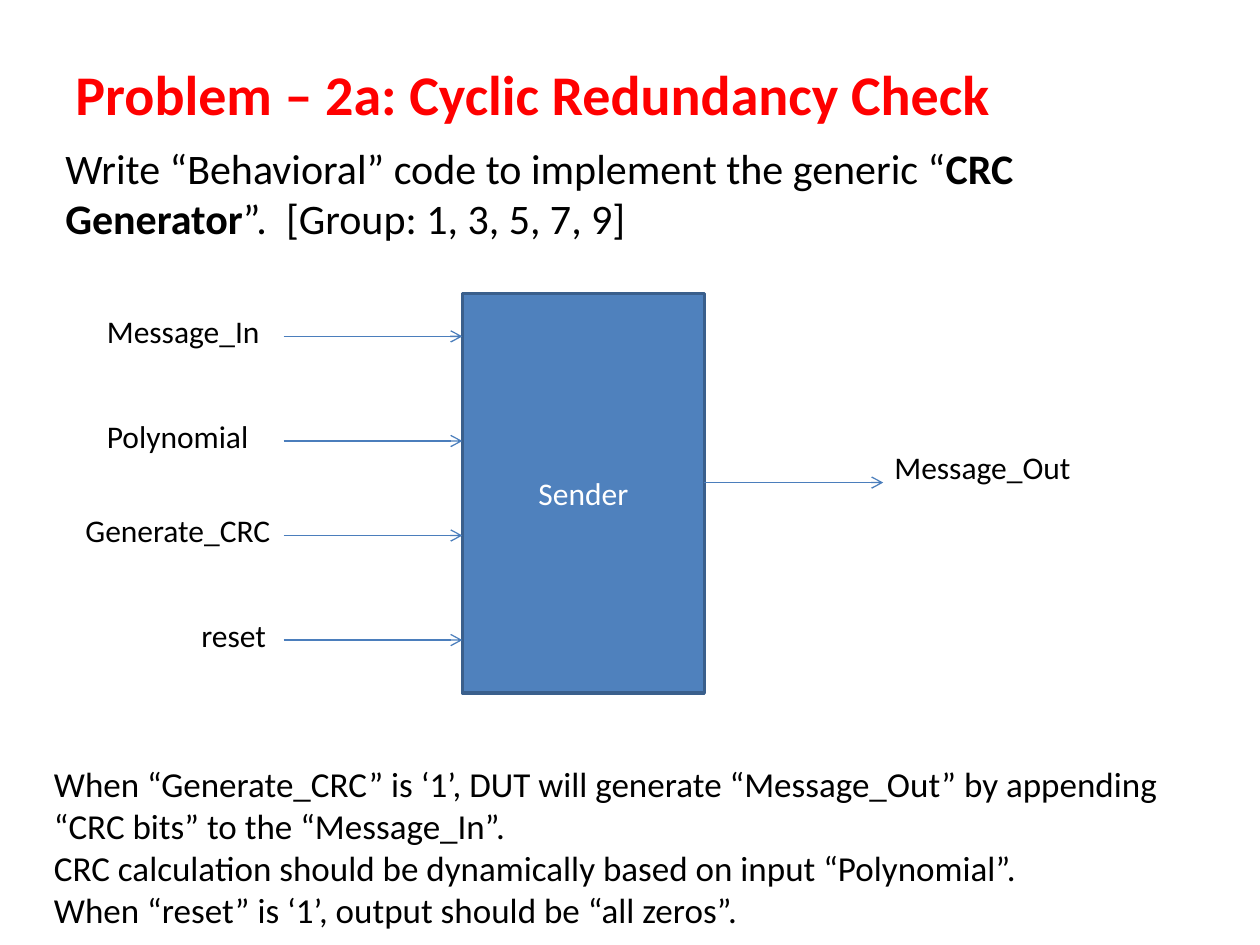
from pptx import Presentation
from pptx.dml.color import RGBColor
from pptx.enum.shapes import MSO_CONNECTOR, MSO_SHAPE
from pptx.enum.text import MSO_ANCHOR, PP_ALIGN
from pptx.oxml.ns import qn
from pptx.util import Inches, Pt
from lxml.etree import SubElement

RED = RGBColor(0xFF, 0x00, 0x00)
BLACK = RGBColor(0x00, 0x00, 0x00)
WHITE = RGBColor(0xFF, 0xFF, 0xFF)
BLOCK_BLUE = RGBColor(0x4F, 0x81, 0xBD)
BORDER_BLUE = RGBColor(0x3A, 0x5F, 0x8C)
ARROW_BLUE = RGBColor(0x4B, 0x7E, 0xBC)

# Each paragraph is a list of (text, bold) runs
TITLE = [[("Problem – 2a: Cyclic Redundancy Check", True)]]
TASK = [[("Write “Behavioral” code to implement the generic “", False),
         ("CRC Generator", True),
         ("”.  [Group: 1, 3, 5, 7, 9]", False)]]
RULES = [[(rule, False)] for rule in (
    "When “Generate_CRC” is ‘1’, DUT will generate “Message_Out” by appending "
    "“CRC bits” to the “Message_In”.",
    "CRC calculation should be dynamically based on input “Polynomial”.",
    "When “reset” is ‘1’, output should be “all zeros”.",
)]
# (paragraphs, box, format)
PASSAGES = [
    (TITLE, (0.5, 0.42, 9, 0.65), {"size": Pt(32), "color": RED}),
    (TASK, (0.42, 1.08, 8.92, 0.91), {"size": Pt(24)}),
    (RULES, (0.33, 6, 9, 1.45), {"size": Pt(20)}),
]

BLOCK_NAME = "Sender"
BLOCK = (3.67, 2.33, 1.92, 3.17)
BLOCK_RIGHT = BLOCK[0] + BLOCK[2]
ARROW_LENGTH = 1.42
INPUT_START = BLOCK[0] - ARROW_LENGTH
LABEL_RISE, LABEL_HEIGHT = 0.24, 0.4
# (signal, label left, label width, label top, arrow start, arrow height)
SIGNALS = [
    (signal, left, width, y - LABEL_RISE, INPUT_START, y)
    for signal, left, width, y in (
        ("Message_In", 0.75, 1.5, 2.67),
        ("Polynomial", 0.75, 1.5, 3.5),
        ("Generate_CRC", 0.58, 1.83, 4.25),
        ("reset", 1.5, 0.92, 5.08),
    )
] + [("Message_Out", 7, 1.83, 3.51, BLOCK_RIGHT, 3.83)]


def inches(box):
    return [Inches(length) for length in box]


def write(frame, paragraphs, size=Pt(18), color=BLACK, align=PP_ALIGN.LEFT):
    frame.word_wrap = True
    for index, runs in enumerate(paragraphs):
        paragraph = frame.paragraphs[0] if index == 0 else frame.add_paragraph()
        paragraph.alignment = align
        for text, bold in runs:
            run = paragraph.add_run()
            run.text = text
            for key, value in {"name": "Calibri", "size": size, "bold": bold}.items():
                setattr(run.font, key, value)
            run.font.color.rgb = color


def add_passage(slide, paragraphs, box, **formats):
    write(slide.shapes.add_textbox(*inches(box)).text_frame, paragraphs, **formats)


def add_block(slide):
    block = slide.shapes.add_shape(MSO_SHAPE.RECTANGLE, *inches(BLOCK))
    block.shadow.inherit = False
    block.fill.solid()
    block.fill.fore_color.rgb = BLOCK_BLUE
    block.line.color.rgb = BORDER_BLUE
    block.line.width = Pt(2)
    block.text_frame.vertical_anchor = MSO_ANCHOR.MIDDLE
    write(block.text_frame, [[(BLOCK_NAME, False)]], color=WHITE, align=PP_ALIGN.CENTER)


def add_arrow(slide, start, y):
    arrow = slide.shapes.add_connector(
        MSO_CONNECTOR.STRAIGHT, *inches((start, y, start + ARROW_LENGTH, y)))
    arrow.line.color.rgb = ARROW_BLUE
    arrow.line.width = Pt(0.75)
    SubElement(arrow.line._get_or_add_ln(), qn("a:tailEnd"), type="arrow")
    SubElement(arrow._element.spPr, qn("a:effectLst"))


def main():
    deck = Presentation()
    deck.slide_width, deck.slide_height = Inches(10), Inches(7.5)
    slide = deck.slides.add_slide(deck.slide_layouts[6])
    for paragraphs, box, formats in PASSAGES:
        add_passage(slide, paragraphs, box, **formats)
    add_block(slide)
    for signal, left, width, top, start, y in SIGNALS:
        add_arrow(slide, start, y)
        add_passage(slide, [[(signal, False)]], (left, top, width, LABEL_HEIGHT))
    deck.save("out.pptx")


if __name__ == "__main__":
    main()
